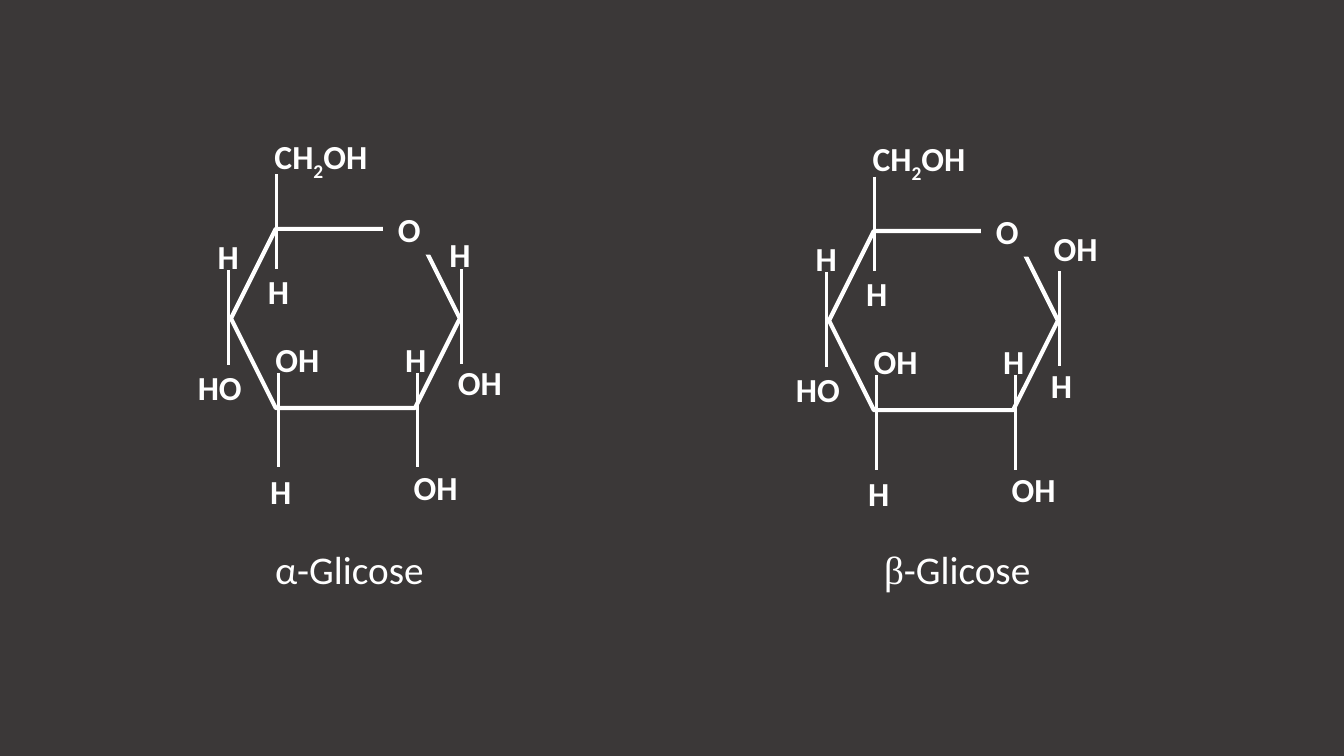
from pptx import Presentation
from pptx.dml.color import RGBColor
from pptx.enum.shapes import MSO_CONNECTOR, MSO_SHAPE
from pptx.enum.text import MSO_ANCHOR, MSO_AUTO_SIZE, PP_ALIGN
from pptx.oxml.ns import qn
from pptx.util import Pt
from lxml import etree

DARK = RGBColor(0x3B, 0x38, 0x38)
WHITE = RGBColor(0xFF, 0xFF, 0xFF)
LINE = MSO_CONNECTOR.STRAIGHT
HEX = MSO_SHAPE.HEXAGON
RECT = MSO_SHAPE.RECTANGLE
CENTER = PP_ALIGN.CENTER
TOP = MSO_ANCHOR.TOP
MIDDLE = MSO_ANCHOR.MIDDLE
GROW = MSO_AUTO_SIZE.SHAPE_TO_FIT_TEXT
NONE = MSO_AUTO_SIZE.NONE

ATOM = {"name": "Calibri", "size": Pt(24), "bold": True}
NAME = {"name": "Calibri", "size": Pt(28), "bold": False}
GREEK = {**NAME, "name": "Times New Roman"}
WIDTH = {"H": 28, "OH": 52, "HO": 52, "CH2OH": 107}
BOND = 67.5

BONDS = [(198.7, 266.4), (298.1, 266.4), (329.8, 192.2), (163.4, 193), (197.3, 124.6)]
ATOMS = [
    ("OH", 186.5, 238.3), ("H", 186.5, 332.6),
    ("OH", 285.1, 329.8), ("H", 283, 238.3),
    ("HO", 131, 258.5), ("H", 149, 164.9),
    ("CH2OH", 175.7, 93.6), ("H", 185, 190.1),
]
FORMS = [
    (0, 0, 149, [("α-Glicose", NAME)], [("H", 314.6, 163.4), ("OH", 316.8, 254.9)]),
    (427.2, 1.5, 583.2, [("β", GREEK), ("-Glicose", NAME)],
     [("OH", 315.1, 157.6), ("H", 317, 255.5)]),
]


def write(shape, runs, anchor=TOP, fit=GROW, space=1.0):
    frame = shape.text_frame
    look = {"word_wrap": True, "auto_size": fit, "vertical_anchor": anchor,
            "margin_left": 0, "margin_right": 0}
    for key, val in look.items():
        setattr(frame, key, val)
    para = frame.paragraphs[0]
    para.alignment = CENTER
    para.line_spacing = space
    for text, style in runs:
        run = para.add_run()
        run.text = text
        run.font.color.rgb = WHITE
        for key, val in style.items():
            setattr(run.font, key, val)
        if text == "2":
            run.font._element.set("baseline", "-25000")


def box(left, top, wide, high):
    return slide.shapes.add_textbox(Pt(left), Pt(top), Pt(wide), Pt(high))


deck = Presentation()
deck.slide_width = Pt(960)
deck.slide_height = Pt(540)
slide = deck.slides.add_slide(deck.slide_layouts[6])
slide.background.fill.solid()
slide.background.fill.fore_color.rgb = DARK

for dx, dy, left, name, pair in FORMS:
    ring = slide.shapes.add_shape(HEX, Pt(165 + dx), Pt(163.5 + dy), Pt(163.5), Pt(128))
    ring.shadow.inherit = False
    ring.fill.background()
    ring.line.color.rgb = WHITE
    ring.line.width = Pt(3)

    oxy = slide.shapes.add_shape(RECT, Pt(273.6 + dx), Pt(145.5 + dy), Pt(37.4), Pt(36.3))
    oxy.shadow.inherit = False
    oxy.fill.solid()
    oxy.fill.fore_color.rgb = DARK
    oxy.line.fill.background()
    write(oxy, [("O", ATOM)], MIDDLE)

    for x, y in BONDS:
        bond = slide.shapes.add_connector(
            LINE, Pt(x + dx), Pt(y + dy), Pt(x + dx), Pt(y + dy + BOND))
        bond.line.color.rgb = WHITE
        bond.line.width = Pt(2.25)
        etree.SubElement(bond._element.spPr, qn("a:effectLst"))

    for text, x, y in ATOMS + pair:
        parts = ["CH", "2", "OH"] if "2" in text else [text]
        label = box(x + dx, y + dy, WIDTH[text], 36.3)
        write(label, [(part, ATOM) for part in parts])

    write(box(left, 389.5, 201, 47), name, fit=NONE, space=0.9)

deck.save("out.pptx")
